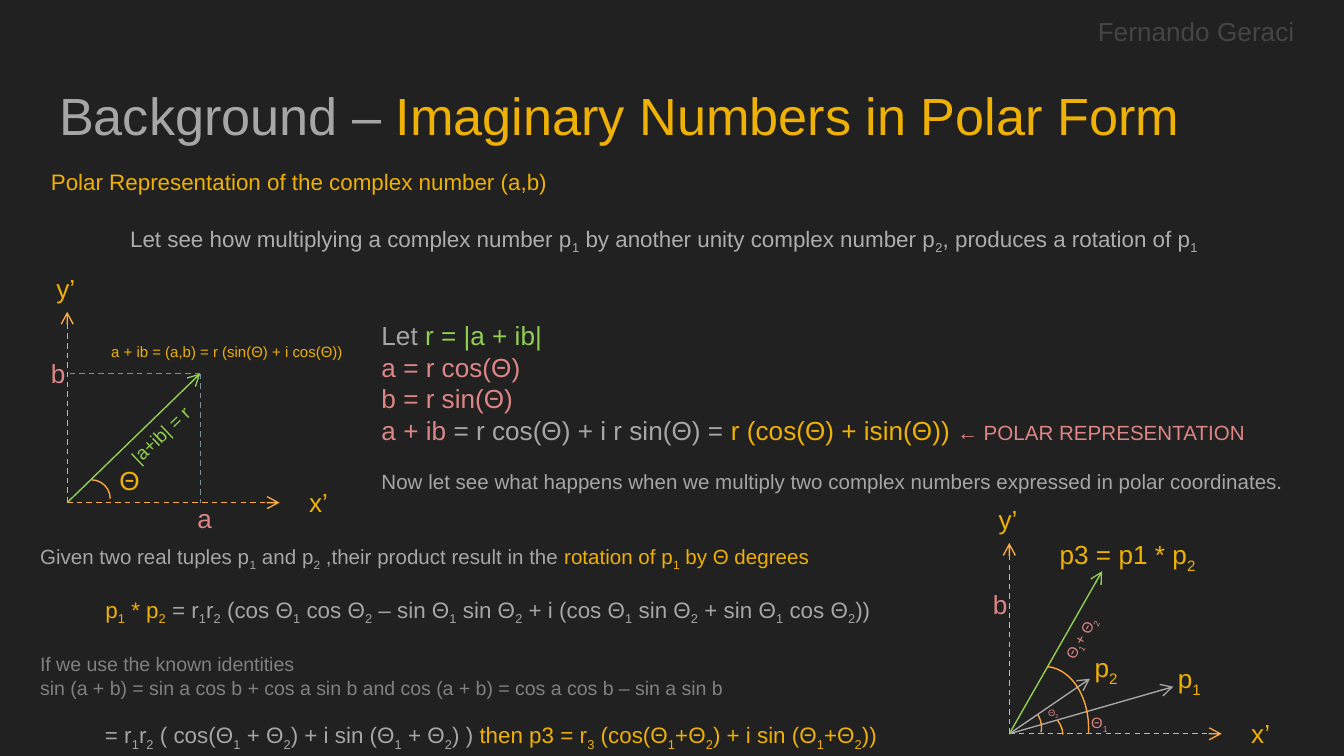
from pptx import Presentation
from pptx.dml.color import RGBColor
from pptx.enum.dml import MSO_LINE
from pptx.enum.shapes import MSO_CONNECTOR, MSO_SHAPE
from pptx.enum.text import MSO_ANCHOR, MSO_AUTO_SIZE, PP_ALIGN
from pptx.oxml.ns import qn
from pptx.util import Inches, Pt
from lxml.etree import SubElement

# The slide is a grid of 100 columns by 56.25 rows.
COLS, ROWS = 100, 56.25
UNIT = Inches(0.1)
GOLD, GREY, PINK, GREEN = "EEB104", "A6A6A6", "DE8686", "92D050"
ORANGE, BLUE, PALE, DIM, FAINT = "FFAB40", "78909C", "ADADAD", "808080", "454545"


def color(code):
    """Turn a hex string into a colour."""
    return RGBColor.from_string(code)


def grid(*spans):
    """Turn grid units into lengths."""
    return [round(span * UNIT) for span in spans]


def add_run(para, text, size, hue, sub=False):
    """Add one run, lowered when it is an index."""
    run = para.add_run()
    run.text = text
    font = run.font
    font.name, font.size = "Arial", Pt(size)
    font.color.rgb = color(hue)
    if sub:
        font._element.set("baseline", "-25000")


def write(para, parts, size, center=False, before=0, after=0):
    """Fill a paragraph from (text, colour[, size]) parts; _1 marks an index."""
    para.alignment = PP_ALIGN.CENTER if center else PP_ALIGN.LEFT
    para.space_before, para.space_after = Pt(before), Pt(after)
    for text, hue, *own in parts:
        scale = own[0] if own else size
        first, *rest = text.split("_")
        if first:
            add_run(para, first, scale, hue)
        for piece in rest:
            add_run(para, piece[0], scale, hue, sub=True)
            if piece[1:]:
                add_run(para, piece[1:], scale, hue)


def add_text(slide, box, lines, inset=None, wrap=True, turn=0):
    """Place a text box; each line holds the arguments of write."""
    shape = slide.shapes.add_textbox(*grid(*box))
    shape.rotation = turn
    frame = shape.text_frame
    frame.word_wrap = wrap
    frame.auto_size = MSO_AUTO_SIZE.NONE if inset else MSO_AUTO_SIZE.SHAPE_TO_FIT_TEXT
    if inset:
        frame.margin_top = frame.margin_bottom = grid(inset)[0]
    for index, line in enumerate(lines):
        para = frame.add_paragraph() if index else frame.paragraphs[0]
        write(para, **line)
    return frame


def label(slide, box, text, hue=GOLD, size=14, center=True, **style):
    """Place a label of one line and one colour."""
    line = dict(parts=[(text, hue)], size=size, center=center)
    return add_text(slide, box, [line], **style)


def add_line(slide, start, end, hue, dash=False, arrow=False):
    """Draw a thin straight line between two points."""
    line = slide.shapes.add_connector(MSO_CONNECTOR.STRAIGHT, *grid(*start, *end))
    line.line.color.rgb = color(hue)
    line.line.width = Pt(0.75)
    if dash:
        line.line.dash_style = MSO_LINE.DASH
    if arrow:
        SubElement(line.line._get_or_add_ln(), qn("a:tailEnd"), type="arrow")
    SubElement(line._element.spPr, qn("a:effectLst"))


def add_arc(slide, box, ends=()):
    """Draw an angle mark."""
    arc = slide.shapes.add_shape(MSO_SHAPE.ARC, *grid(*box))
    arc.shadow.inherit = False
    arc.fill.background()
    arc.line.color.rgb = color("FEA83A")
    arc.line.width = Pt(0.75)
    for index, value in enumerate(ends):
        arc.adjustments[index] = value


def place(x, y):
    """Return a function that moves a point or box to the origin x, y."""
    return lambda left, top, *size: (x + left, y + top, *size)


def add_axes(slide, at):
    """Draw the dashed axes with their names and the mark b."""
    for end in ((0, -14.2), (15.8, 0)):
        add_line(slide, at(0, 0), at(*end), ORANGE, dash=True, arrow=True)
    label(slide, at(-3, -17.6, 5.8, 3.4), "y’")
    label(slide, at(15.8, -1.7, 5.8, 3.4), "x’")
    label(slide, at(-2.2, -11.3, 2.4, 3.4), "b", PINK)


def add_polar(slide, x, y):
    """Draw the diagram of one complex number from origin x, y."""
    at = place(x, y)
    add_axes(slide, at)
    tip = at(9.9, -9.6)
    add_line(slide, at(0, 0), tip, GREEN, arrow=True)
    for foot in ((9.9, 0), (0, -9.6)):
        add_line(slide, tip, at(*foot), BLUE, dash=True)
    add_arc(slide, at(0.4, -1.7, 2.8, 2.8))
    label(slide, at(2.2, -12.4, 19.4, 2.4), "a + ib = (a,b) = r (sin(Θ) + i cos(Θ))", size=8)
    label(slide, at(1.8, -6.4, 10.3, 2.7), "|a+ib| = r", GREEN, 10, turn=316.3)
    label(slide, at(2.9, -3.3, 2.4, 3.4), "Θ")
    label(slide, at(8.7, -0.5, 2.4, 3.4), "a", PINK)


def add_product(slide, x, y):
    """Draw the diagram of the rotated product from origin x, y."""
    at = place(x, y)
    add_axes(slide, at)
    for tip, hue in (((12.2, -3.5), GREY), ((6, -4.1), GREY), ((6.9, -12.1), GREEN)):
        add_line(slide, at(0, 0), at(*tip), hue, arrow=True)
    add_arc(slide, at(0.7, -1.6, 3.3, 3.5), (190.32, 214.01))
    add_arc(slide, at(-0.9, -2.2, 3.3, 3.5), (195.11, 6.79))
    add_arc(slide, at(-0.6, -5, 6.5, 9.2), (163.31, 3.72))
    label(slide, at(5.1, -2, 3.3, 2.4), "Θ_1", PINK, 8, False, wrap=False)
    label(slide, at(1.9, -2.5, 2.8, 1.9), "Θ_2", PINK, 5, False, wrap=False)
    label(slide, at(1.8, -8.3, 7.1, 2.4), "Θ_1+ Θ_2", PINK, 8, turn=300.1)
    label(slide, at(10.5, -5.8, 5.8, 3.4), "p_1")
    label(slide, at(4.3, -6.6, 5.8, 3.4), "p_2")
    label(slide, at(2.7, -15, 12.2, 3.4), "p3 = p1 * p_2")


def add_head(slide, box):
    """Set the title in its placeholder."""
    title = slide.shapes.title
    title.left, title.top, title.width, title.height = grid(*box)
    frame = title.text_frame
    frame.auto_size = MSO_AUTO_SIZE.NONE
    frame.vertical_anchor = MSO_ANCHOR.TOP
    frame.margin_top = grid(1.3)[0]
    write(frame.paragraphs[0],
          [("Background – ", GREY), ("Imaginary Numbers in Polar Form", GOLD)], 28)


def add_intro(slide, box):
    """Write the opening lines."""
    add_text(slide, box, [
        dict(parts=[("Polar Representation of the complex number (a,b)", GOLD)],
             size=12, after=16),
        dict(parts=[("Let see how multiplying a complex number p_1 by another unity "
                     "complex number p_2, produces a rotation of p_1", PALE)],
             size=12, center=True)], inset=1)


def add_rules(slide, box):
    """Write the polar form equations."""
    add_text(slide, box, [
        dict(parts=[("Let ", GREY), ("r = |a + ib| ", GREEN)], size=14),
        dict(parts=[("a = r cos(Θ)", PINK)], size=14),
        dict(parts=[("b = r sin(Θ)", PINK)], size=14),
        dict(parts=[("a + ib ", PINK), ("= r cos(Θ) + i r sin(Θ) = ", GREY),
                    ("r (cos(Θ) + isin(Θ)) ", GOLD),
                    ("← POLAR REPRESENTATION", PINK, 11)], size=14),
        dict(parts=[("Now let see what happens when we multiply two complex numbers "
                     "expressed in polar coordinates.", GREY)], size=11, before=12.6)])


def add_proof(slide, box):
    """Write the derivation of the product."""
    add_text(slide, box, [
        dict(parts=[("Given two real tuples p_1 and p_2 ,their product result in the ", GREY),
                    ("rotation of p_1 by Θ degrees", GOLD)], size=11),
        dict(parts=[("p_1 * p_2 ", GOLD),
                    ("= r_1r_2 (cos Θ_1 cos Θ_2 – sin Θ_1 sin Θ_2"
                     " + i (cos Θ_1 sin Θ_2 + sin Θ_1 cos Θ_2))", GREY)],
             size=12, center=True, before=12.6),
        dict(parts=[("If we use the known identities ", DIM)], size=10.5, before=13.8),
        dict(parts=[("sin (a + b) = sin a cos b + cos a sin b and "
                     "cos (a + b) = cos a cos b – sin a sin b", DIM)], size=10.5),
        dict(parts=[(" = r_1r_2 ( cos(Θ_1 + Θ_2) + i sin (Θ_1 + Θ_2) ) ", GREY),
                    ("then p3 = r_3 (cos(Θ_1+Θ_2) + i sin (Θ_1+Θ_2))", GOLD)],
             size=12, center=True, before=12)])


deck = Presentation()
deck.slide_width, deck.slide_height = grid(COLS, ROWS)
slide = deck.slides.add_slide(deck.slide_layouts[5])
slide.background.fill.solid()
slide.background.fill.fore_color.rgb = color("212121")
add_head(slide, (3.4, 4.9, 93.2, 6.3))
add_intro(slide, (2.8, 11.5, 93.2, 9.1))
add_polar(slide, 5, 37.4)
add_rules(slide, (27.4, 23.3, 70, 14.1))
add_product(slide, 75.1, 54.6)
add_proof(slide, (2, 40, 68.6, 16.1))
author = label(slide, (78, 0, 22, 4.6), "Fernando Geraci", FAINT, inset=1)
author.vertical_anchor = MSO_ANCHOR.MIDDLE
deck.save("out.pptx")
